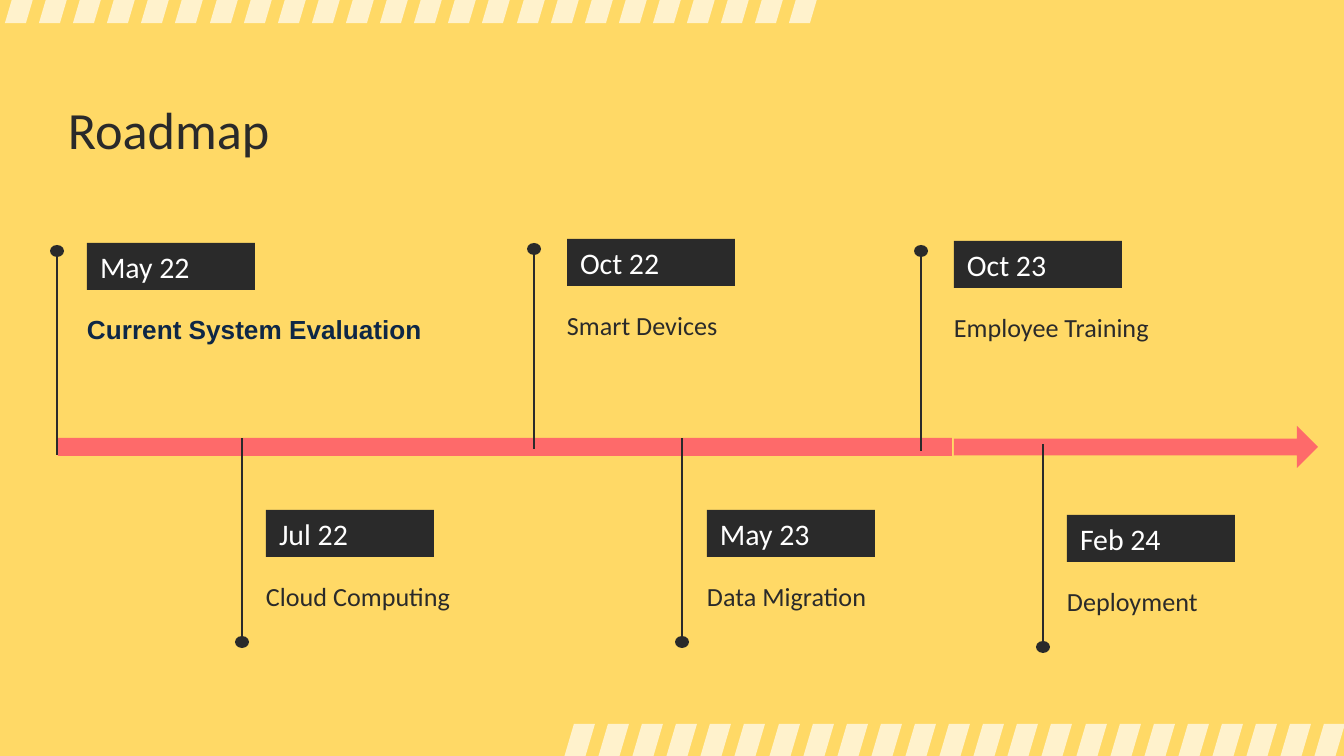
from lxml import etree
from pptx import Presentation
from pptx.dml.color import RGBColor
from pptx.enum.shapes import MSO_CONNECTOR, MSO_SHAPE
from pptx.enum.text import MSO_ANCHOR, PP_ALIGN
from pptx.oxml.ns import qn
from pptx.util import Pt

RECT, OVAL, ARROW = MSO_SHAPE.RECTANGLE, MSO_SHAPE.OVAL, MSO_SHAPE.RIGHT_ARROW
STRAIGHT = MSO_CONNECTOR.STRAIGHT
MIDDLE, LEFT = MSO_ANCHOR.MIDDLE, PP_ALIGN.LEFT

PX = 914400 / 134.4
THEME = {
    "back": RGBColor.from_string("FFD966"),
    "stripe": RGBColor.from_string("FFF2CC"),
    "dark": RGBColor.from_string("2A2A2A"),
    "navy": RGBColor.from_string("0E2746"),
    "white": RGBColor.from_string("FFFFFF"),
    "road": RGBColor.from_string("FE6A6A"),
    "font": "Calibri",
    "accent_font": "Arial",
    "title": Pt(28),
    "date": Pt(16),
    "label": Pt(14),
    "pin": Pt(1.5),
}


def box(*lengths):
    return [round(v * PX) for v in lengths]


def paint(s, color):
    s.shadow.inherit = False
    s.fill.solid()
    s.fill.fore_color.rgb = THEME[color]
    s.line.fill.background()


def write(s, text, size, color, inset=13):
    tf = s.text_frame
    tf.word_wrap = True
    tf.vertical_anchor = MIDDLE
    tf.margin_left = box(inset)[0]
    tf.margin_top = tf.margin_right = tf.margin_bottom = box(13)[0]
    p = tf.paragraphs[0]
    p.text = text
    p.alignment = LEFT
    p.font.name = THEME["font"]
    p.font.size = THEME[size]
    p.font.color.rgb = THEME[color]
    return p


prs = Presentation()
prs.slide_width, prs.slide_height = box(1344, 756)
slide = prs.slides.add_slide(prs.slide_layouts[6])
slide.background.fill.solid()
slide.background.fill.fore_color.rgb = THEME["back"]
shapes = slide.shapes

for left, top, count in [(5, -55, 24), (551, 724, 23)]:
    for i in range(count):
        x = left + round(i * 34.1)
        outline = shapes.build_freeform(x + 44, top, scale=PX)
        outline.add_line_segments([(x + 23, top), (x, top + 78), (x + 21, top + 78)])
        paint(outline.convert_to_shape(), "stripe")

title = shapes.add_textbox(*box(55, 79, 563, 99))
write(title, "Roadmap", "title", "dark")

for i in range(3):
    paint(shapes.add_shape(RECT, *box(58 + 298 * i, 438, 298, 18)), "road")
arrow = shapes.add_shape(ARROW, *box(954, 426, 364, 42))
arrow.adjustments[0] = 0.4
paint(arrow, "road")

# date, label, tag left, tag top, label width, pin x, knob y, pin end y
milestones = [
    ("May 22", "Current System Evaluation", 87, 243, 364, 57, 251, 455),
    ("Jul 22", "Cloud Computing", 266, 510, 284, 242, 642, 438),
    ("Oct 22", "Smart Devices", 567, 239, 347, 534, 249, 449),
    ("May 23", "Data Migration", 707, 510, 308, 682, 642, 438),
    ("Oct 23", "Employee Training", 954, 241, 347, 921, 251, 451),
    ("Feb 24", "Deployment", 1067, 515, 308, 1043, 647, 444),
]
for date, label, left, top, width, pin_x, knob_y, end_y in milestones:
    pin = shapes.add_connector(STRAIGHT, *box(pin_x, knob_y, pin_x, end_y))
    pin.line.color.rgb = THEME["dark"]
    pin.line.width = THEME["pin"]
    etree.SubElement(pin._element.spPr, qn("a:effectLst"))
    knob = shapes.add_shape(OVAL, *box(pin_x - 7, knob_y - 6, 14, 12))
    paint(knob, "dark")

    tag = shapes.add_shape(RECT, *box(left, top, 168, 47))
    paint(tag, "dark")
    write(tag, date, "date", "white")

    caption = shapes.add_textbox(*box(left, top + 55, width, 63))
    p = write(caption, label, "label", "dark", inset=0)
    if label == "Current System Evaluation":
        p.font.name = THEME["accent_font"]
        p.font.bold = True
        p.font.color.rgb = THEME["navy"]

prs.save("out.pptx")
